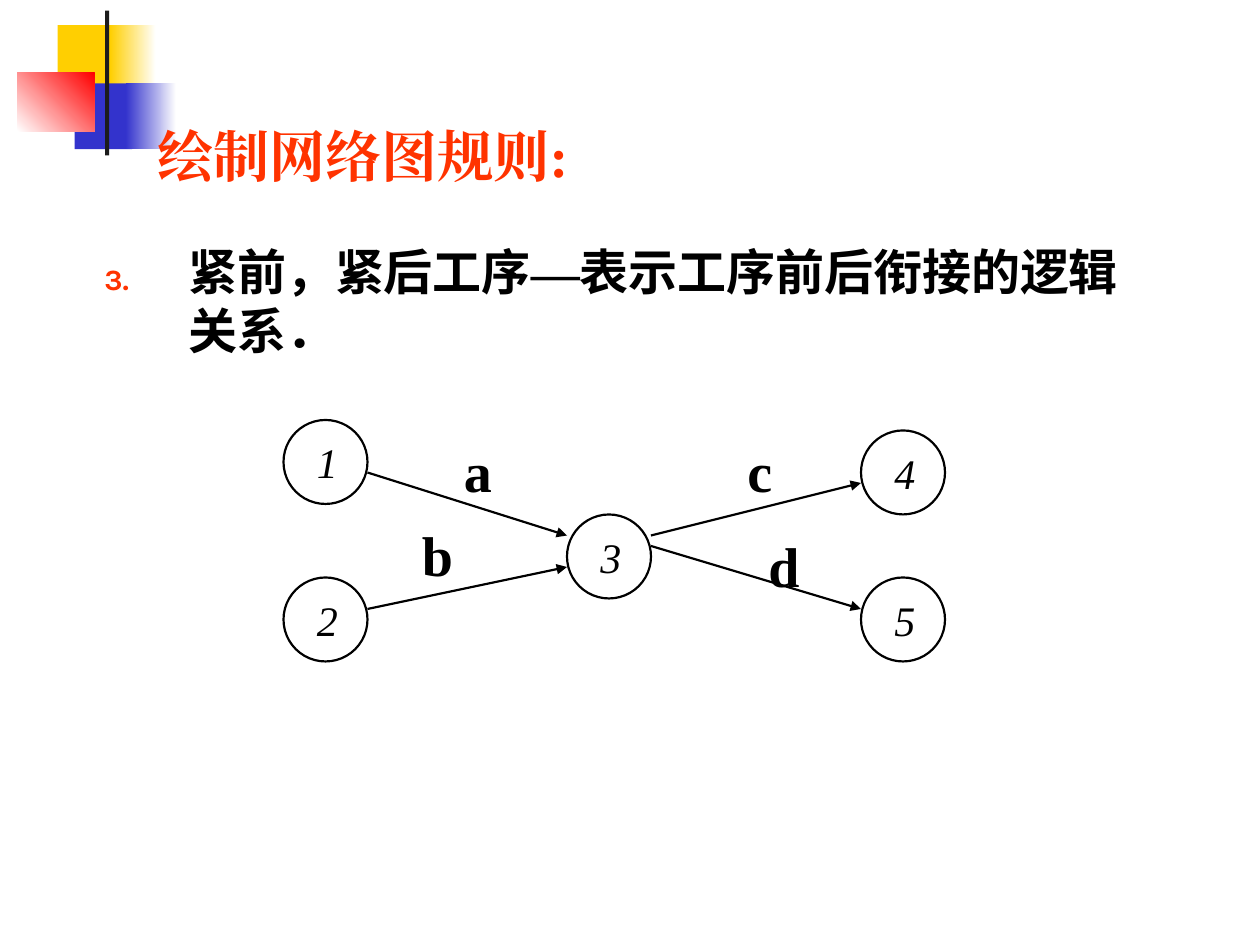
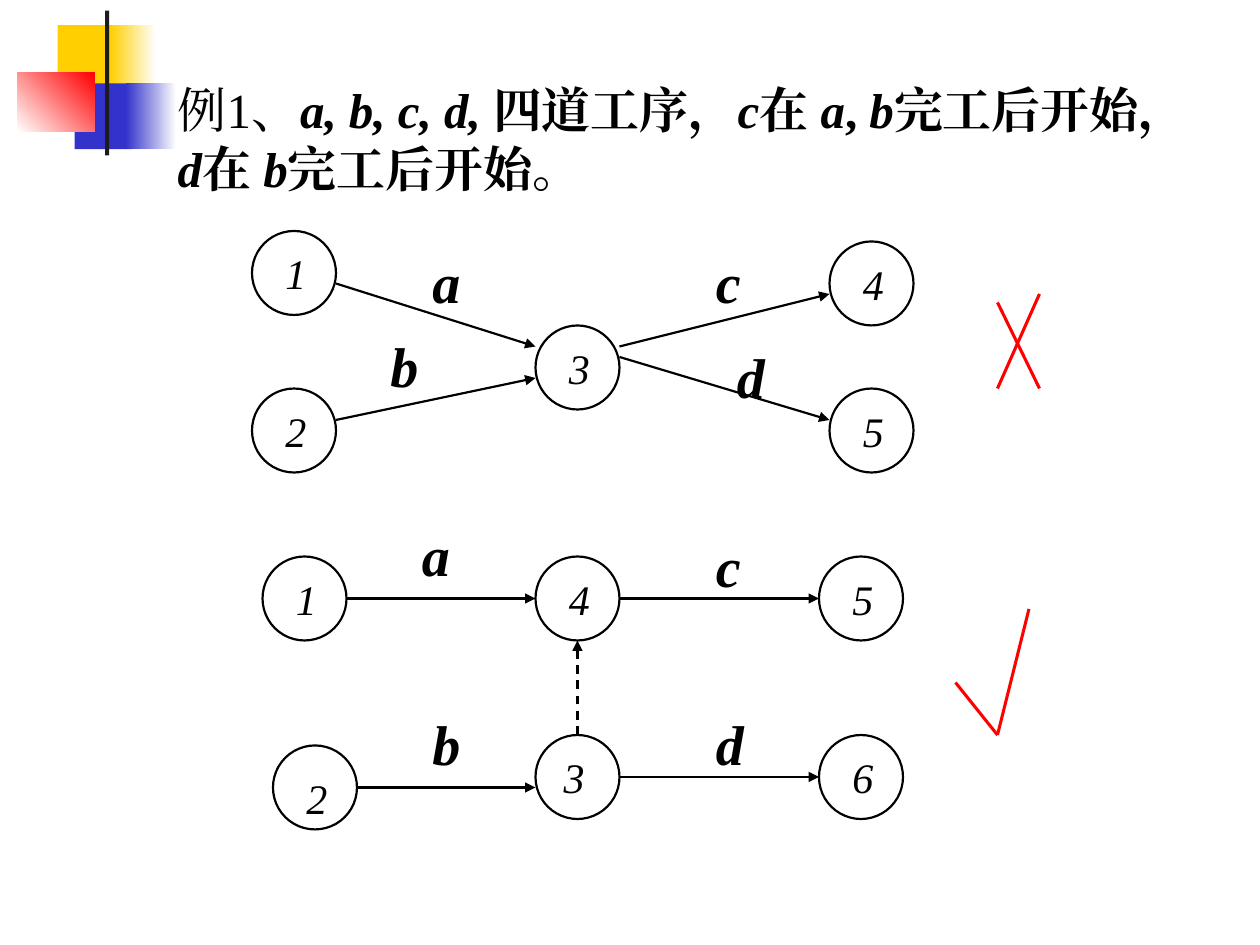
from lxml import etree
from pptx import Presentation
from pptx.dml.color import RGBColor
from pptx.enum.dml import MSO_LINE
from pptx.enum.lang import MSO_LANGUAGE_ID
from pptx.enum.shapes import MSO_CONNECTOR, MSO_SHAPE
from pptx.enum.text import MSO_AUTO_SIZE, PP_ALIGN
from pptx.oxml.ns import qn
from pptx.util import Inches, Pt

RECT, OVAL = MSO_SHAPE.RECTANGLE, MSO_SHAPE.OVAL
LINE, DASH = MSO_CONNECTOR.STRAIGHT, MSO_LINE.DASH
LEFT, MID, BOTH = PP_ALIGN.LEFT, PP_ALIGN.CENTER, PP_ALIGN.JUSTIFY
GROW, FIXED = MSO_AUTO_SIZE.SHAPE_TO_FIT_TEXT, MSO_AUTO_SIZE.NONE
CHINESE = MSO_LANGUAGE_ID.SIMPLIFIED_CHINESE

WIDE, HIGH = 10, 7.5
COLS, ROWS = 120, 90
DISC = 8
INK = {"black": "000000", "white": "FFFFFF", "gold": "FFCF01", "blue": "3333CC",
       "red": "FF0000", "head": "FF3300", "bar": "1C1C1C"}
SERIF, SANS = "Times New Roman", "Karla"

PLAIN = {"name": SERIF, "size": Pt(28), "language_id": CHINESE}
BOLD = PLAIN | {"bold": True}
SLANT = BOLD | {"italic": True}
BODY = BOLD | {"name": SANS}
TITLE = BOLD | {"size": Pt(32)}
TASK = TITLE
TILT = TITLE | {"italic": True}
COUNT = PLAIN | {"size": Pt(24), "italic": True}

BAND = [
    ((5.5, 2.4, 5.75, 6.25), ("gold",), 0),
    ((10.5, 2.4, 4.35, 6.25), ("gold", "white"), 0),
    ((7.1, 7.95, 5.5, 6.25), ("blue",), 0),
    ((12, 7.95, 4.8, 6.25), ("blue", "white"), 0),
    ((1.65, 6.95, 7.35, 5.55), ("white", "red"), 45),
    ((10, 1, 0.4, 13.8), ("bar",), 0),
]

CROSS_NET = {
    "nodes": [("1", 0, 0), ("2", 0, 15), ("3", 27, 9), ("4", 55, 1), ("5", 55, 15)],
    "lines": [(8, 5, 27, 11), (8, 18, 27, 14), (35, 11, 55, 6), (35, 12, 55, 18)],
    "tasks": [("a", 16, 1), ("b", 12, 9), ("c", 43, 1), ("d", 45, 10)],
}
DUMMY_NET = {
    "nodes": [("1", 0, 0), ("2", 1, 18, 2, 2), ("3", 26, 17, 1.5), ("4", 26, 0),
              ("5", 53, 0), ("6", 53, 17)],
    "lines": [(8, 4, 26, 4), (34, 4, 53, 4), (9, 22, 26, 22), (34, 21, 53, 21),
              (30, 17, 30, 8, DASH)],
    "tasks": [("a", 14, -4), ("b", 15, 14), ("c", 42, -3), ("d", 42, 14)],
}
WRONG = [(99, 28, 95, 37), (95, 28.8, 99, 37)]
RIGHT = [(91, 65, 95, 70), (95, 70, 98, 58)]

RULE = [("紧前，紧后工序", BODY), ("—", BOLD), ("表示工序前后衔接的逻辑关系．", BODY)]
CASE = [("例1、", PLAIN), ("a, b, c, d, ", SLANT), ("四道工序，", BOLD), ("c", SLANT),
        ("在 ", BOLD), ("a", SLANT), (",", BOLD), (" b", SLANT),
        ("完工后开始，\t", BOLD), ("d", SLANT), ("在 ", BOLD), ("b", SLANT),
        ("完工后开始。", BOLD)]


def across(cols):
    return Inches(cols * WIDE / COLS)


def down(rows):
    return Inches(rows * HIGH / ROWS)


def tint(name):
    return RGBColor.from_string(INK[name])


def place(x, y, w, h):
    return across(x), down(y), across(w), down(h)


class Deck:
    def __init__(self):
        self.file = Presentation()
        self.file.slide_width, self.file.slide_height = Inches(WIDE), Inches(HIGH)

    def page(self):
        self.slide = self.file.slides.add_slide(self.file.slide_layouts[6])
        self.art = self.slide.shapes
        for area, inks, angle in BAND:
            self.block(area, inks, angle)

    def group(self):
        self.art = self.slide.shapes.add_group_shape().shapes

    def block(self, area, inks, angle):
        box = self.art.add_shape(RECT, *place(*area))
        box.shadow.inherit = False
        box.line.fill.background()
        if len(inks) == 1:
            box.fill.solid()
            box.fill.fore_color.rgb = tint(inks[0])
            return
        box.fill.gradient()
        box.fill.gradient_angle = angle
        for stop, ink in zip(box.fill.gradient_stops, inks):
            stop.color.rgb = tint(ink)

    def text(self, area, runs, ink="black", align=LEFT, wrap=False, fit=GROW):
        box = self.art.add_textbox(*place(*area))
        frame = box.text_frame
        frame.word_wrap, frame.auto_size = wrap, fit
        para = frame.paragraphs[0]
        para.alignment = align
        for words, style in runs:
            run = para.add_run()
            run.text = words
            for key, value in style.items():
                setattr(run.font, key, value)
            run.font.color.rgb = tint(ink)
            east = etree.Element(qn("a:ea"), typeface=style["name"])
            run.font._element.find(qn("a:latin")).addnext(east)
        return para

    def number(self, para, start, indent):
        props = para._p.get_or_add_pPr()
        props.set("marL", str(across(indent)))
        props.set("indent", str(-across(indent)))
        color = etree.SubElement(props, qn("a:buClr"))
        etree.SubElement(color, qn("a:srgbClr"), val=INK["head"])
        etree.SubElement(props, qn("a:buSzPct"), val="60000")
        etree.SubElement(props, qn("a:buAutoNum"), type="arabicPeriod", startAt=str(start))

    def tab(self, para, cols):
        stops = etree.SubElement(para._p.get_or_add_pPr(), qn("a:tabLst"))
        etree.SubElement(stops, qn("a:tab"), pos=str(across(cols)), algn="l")

    def node(self, label, x, y, dx=2, dy=1):
        disc = self.art.add_shape(OVAL, *place(x, y, DISC, DISC))
        disc.shadow.inherit = False
        disc.fill.background()
        disc.line.color.rgb, disc.line.width = tint("black"), Pt(1.25)
        self.text((x + dx, y + dy, 4.3, 6), [(label, COUNT)], align=MID)

    def line(self, x, y, to_x, to_y, dash=None, ink="black", width=1.25, head=True):
        link = self.art.add_connector(LINE, across(x), down(y), across(to_x), down(to_y))
        link.line.color.rgb, link.line.width = tint(ink), Pt(width)
        if dash:
            link.line.dash_style = dash
        if head:
            etree.SubElement(link.line._get_or_add_ln(), qn("a:tailEnd"), type="triangle")
        etree.SubElement(link._element.spPr, qn("a:effectLst"))

    def net(self, plan, x, y, style):
        self.group()
        for label, dx, dy, *shift in plan["nodes"]:
            self.node(label, x + dx, y + dy, *shift)
        for x1, y1, x2, y2, *dash in plan["lines"]:
            self.line(x + x1, y + y1, x + x2, y + y2, *dash)
        for label, dx, dy in plan["tasks"]:
            self.text((x + dx, y + dy, 5, 7.7), [(label, style)])

    def mark(self, strokes):
        self.group()
        for stroke in strokes:
            self.line(*stroke, ink="red", width=1.75, head=False)


def main():
    deck = Deck()

    deck.page()
    rule = deck.text((8.75, 22.45, 100.7, 45.1), RULE, wrap=True, fit=FIXED)
    deck.number(rule, 3, 8)
    deck.text((13.8, 11, 42.85, 7.7), [("绘制网络图规则:", TITLE)], ink="head")
    deck.net(CROSS_NET, 27, 40, TASK)

    deck.page()
    case = deck.text((15.75, 7, 100.1, 12.5), CASE, align=BOTH, wrap=True)
    deck.tab(case, 19.7)
    deck.net(CROSS_NET, 24, 22, TILT)
    deck.net(DUMMY_NET, 25, 53, TILT)
    deck.mark(WRONG)
    deck.mark(RIGHT)

    deck.file.save("out.pptx")


if __name__ == "__main__":
    main()
